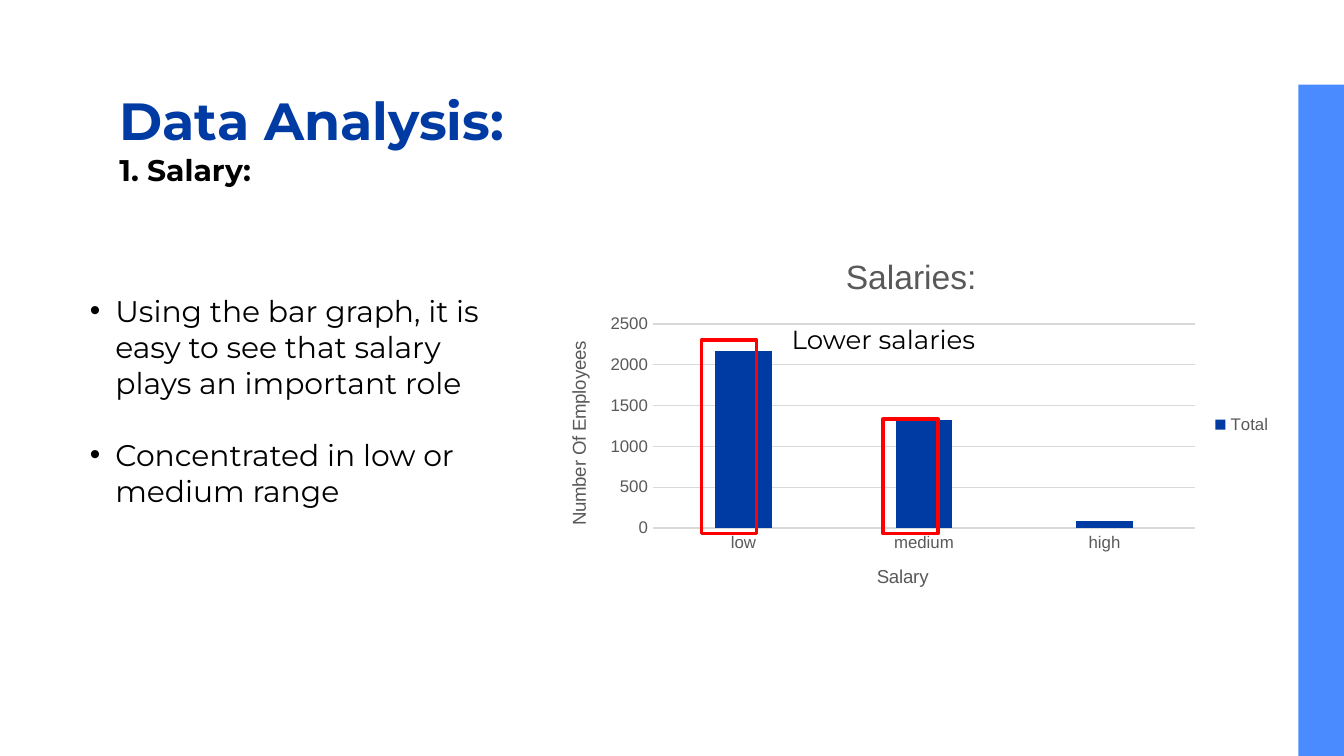
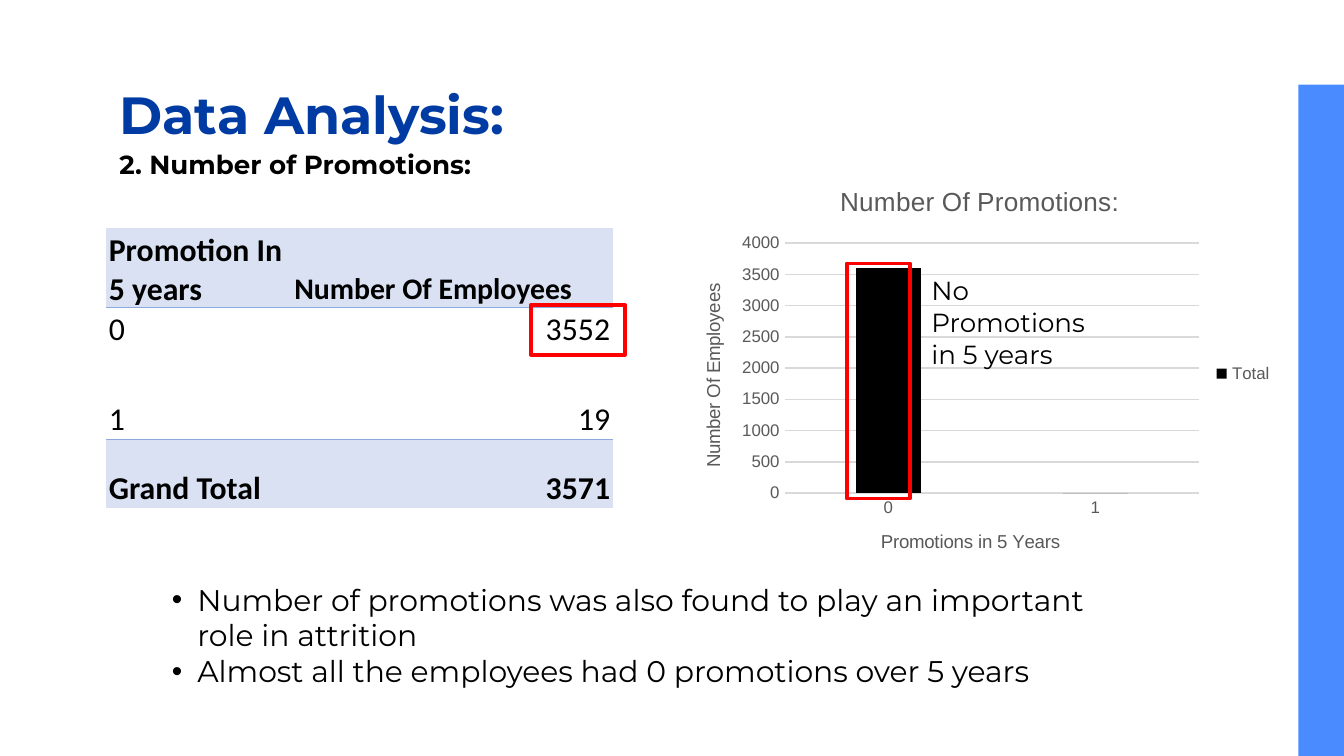
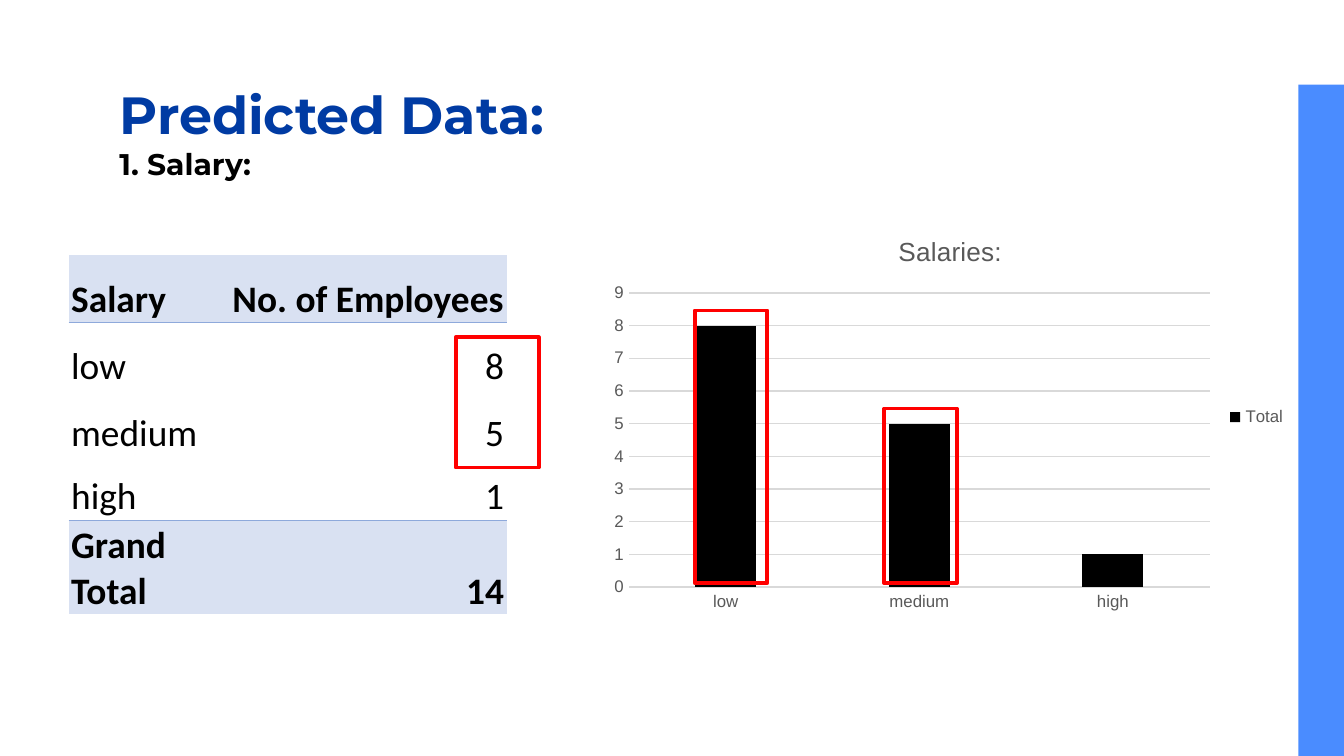
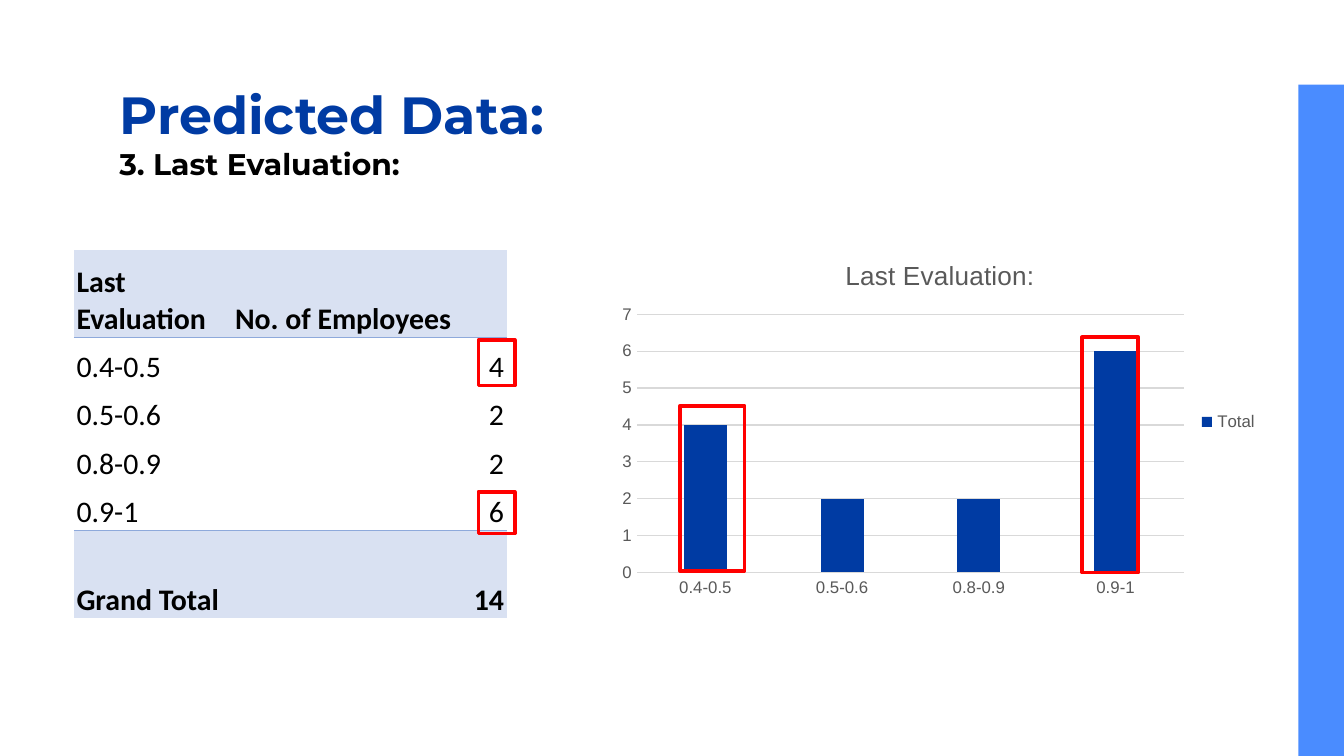
from dataclasses import dataclass

from lxml import etree
from pptx import Presentation
from pptx import util as u
from pptx.chart import data as chart_data
from pptx.dml.color import RGBColor
from pptx.enum import chart as charts, shapes, text
from pptx.oxml import parse_xml
from pptx.oxml.ns import nsdecls, qn


@dataclass(frozen=True)
class Theme:
    blue: RGBColor = RGBColor.from_string("003BA3")
    band: RGBColor = RGBColor.from_string("4A8CFF")
    black: RGBColor = RGBColor.from_string("000000")
    grey: RGBColor = RGBColor.from_string("595959")
    grid: RGBColor = RGBColor.from_string("D9D9D9")
    red: RGBColor = RGBColor.from_string("FF0000")
    table_fill: RGBColor = RGBColor.from_string("D9E1F2")
    table_rule: str = "8EA9DB"
    text_font: str = "Montserrat"
    table_font: str = "Calibri"
    chart_font: str = "Arial"
    title_size: int = 28
    body_size: int = 16
    callout_size: int = 14
    axis_title_size: int = 10
    label_size: int = 9
    plain_table_style: str = "{2D5ABB26-0587-4C30-8999-92F81FD0307C}"


theme = Theme()


def style_font(font, size, color, name, bold=False):
    font.size, font.name, font.bold = u.Pt(size), name, bold
    font.color.rgb = color


def write(frame, lines, size, color=theme.black, name=theme.text_font, bold=False,
          anchor=text.MSO_ANCHOR.MIDDLE):
    """Fill a text frame with one paragraph per line, all in one style."""
    frame.text = "\n".join(lines)
    frame.word_wrap = True
    frame.vertical_anchor = anchor
    frame.margin_left = frame.margin_right = u.Inches(0.1)
    frame.margin_top = frame.margin_bottom = u.Inches(0.1)
    for paragraph in frame.paragraphs:
        for run in paragraph.runs:
            style_font(run.font, size, color, name, bold)


# Boxes are left, top, width, height; plots are left, top, right, bottom (inches).
SLIDES = [
    dict(
        title="Data Analysis:", title_top=0.56,
        subtitle="1. Salary:", subtitle_box=(0.79, 1.11, 1.26, 0.3), subtitle_size=16,
        chart=dict(
            title="Salaries:", title_size=18, box=(4, 1.74, 5.56, 2.84),
            plot=(4.86, 2.41, 8.89, 3.93), color=theme.blue,
            values={"low": 2170, "medium": 1320, "high": 80}, top=2500, step=500,
            axis_titles=("Salary", "Number Of Employees")),
        bullets=dict(
            box=(0.57, 2.02, 3.15, 1.92), gap=19.5,
            lines=["Using the bar graph, it is easy to see that salary plays an important role",
                   "Concentrated in low or medium range"]),
        callout=dict(text="Lower salaries", at=(5.79, 1.81), height=0.44),
        highlights=[(5.22, 2.53, 0.41, 1.44), (6.57, 3.12, 0.41, 0.85)]),
    dict(
        title="Data Analysis:", title_top=0.51,
        subtitle="2. Number of Promotions:", subtitle_box=(0.79, 1.07, 3.77, 0.3),
        subtitle_size=14,
        chart=dict(
            title="Number Of Promotions:", title_size=14, box=(5.01, 1.22, 4.56, 3.12),
            plot=(5.84, 1.81, 8.92, 3.67), color=theme.black,
            values={"0": 3600, "1": 0}, top=4000, step=500,
            axis_titles=("Promotions in 5 Years", "Number Of Employees")),
        table=dict(
            at=(0.79, 1.7), columns=(1.38, 2.39), rows=(0.59, 0.31, 0.67, 0.51), size=17,
            header_size=16,
            cells=[("Promotion In 5 years", "Number Of Employees"), ("0", "3552"),
                   ("1", "19"), ("Grand Total", "3571")]),
        bullets=dict(
            box=(1.18, 4.39, 7.22, 0.67), gap=0,
            lines=["Number of promotions was also found to play an important role in attrition",
                   "Almost all the employees had 0 promotions over 5 years"]),
        callout=dict(text="No Promotions in 5 years", at=(6.83, 1.45), height=0.91),
        highlights=[(3.95, 2.27, 0.7, 0.37), (6.3, 1.96, 0.47, 1.75)]),
    dict(
        title="Predicted Data:", title_top=0.51,
        subtitle="1. Salary:", subtitle_box=(0.79, 1.07, 5.97, 0.3), subtitle_size=16,
        chart=dict(
            title="Salaries:", title_size=14, box=(4.47, 1.6, 5.2, 3.01),
            plot=(4.68, 2.18, 9, 4.37), color=theme.black,
            values={"low": 8, "medium": 5, "high": 1}, top=9, step=1),
        table=dict(
            at=(0.51, 1.9), columns=(1.2, 2.06), rows=(0.5, 0.5, 0.5, 0.47, 0.7), size=20,
            header_size=20,
            cells=[("Salary", "No. of Employees"), ("low", "8"), ("medium", "5"),
                   ("high", "1"), ("Grand Total", "14")]),
        highlights=[(3.39, 2.51, 0.62, 0.97), (5.17, 2.31, 0.54, 2.03),
                    (6.58, 3.04, 0.54, 1.3)]),
    dict(
        title="Predicted Data:", title_top=0.51,
        subtitle="3. Last Evaluation:", subtitle_box=(0.79, 1.07, 5.97, 0.3),
        subtitle_size=16,
        chart=dict(
            title="Last Evaluation:", title_size=14, box=(4.53, 1.78, 4.93, 2.72),
            plot=(4.74, 2.34, 8.81, 4.26), color=theme.blue,
            values={"0.4-0.5": 4, "0.5-0.6": 2, "0.8-0.9": 2, "0.9-1": 6}, top=7, step=1),
        table=dict(
            at=(0.55, 1.86), columns=(1.18, 2.04), rows=(0.65, 0.36, 0.36, 0.36, 0.36, 0.65),
            size=16, header_size=16,
            cells=[("Last Evaluation", "No. of Employees"), ("0.4-0.5", "4"),
                   ("0.5-0.6", "2"), ("0.8-0.9", "2"), ("0.9-1", "6"),
                   ("Grand Total", "14")]),
        highlights=[(3.56, 2.53, 0.27, 0.34), (3.56, 3.66, 0.27, 0.31),
                    (5.06, 3.02, 0.48, 1.23), (8.05, 2.51, 0.42, 1.75)]),
]

presentation = Presentation()
presentation.slide_width, presentation.slide_height = u.Inches(10), u.Pt(405)

for content in SLIDES:
    slide = presentation.slides.add_slide(presentation.slide_layouts[6])

    # The side band is made once and moved to the slide master
    if content is SLIDES[0]:
        band = slide.shapes.add_shape(shapes.MSO_SHAPE.RECTANGLE, u.Inches(7.33),
                                      u.Inches(2.96), u.Inches(5), u.Inches(0.34))
        band.rotation = 90
        band.shadow.inherit = False
        band.fill.solid()
        band.fill.fore_color.rgb = theme.band
        band.line.fill.background()
        presentation.slide_master.shapes.element.append(band.element)

    title = slide.shapes.add_textbox(u.Inches(0.79), u.Inches(content["title_top"]),
                                     u.Inches(8.43), u.Inches(0.71))
    write(title.text_frame, [content["title"]], theme.title_size, theme.blue, bold=True,
          anchor=text.MSO_ANCHOR.TOP)
    subtitle = slide.shapes.add_textbox(*map(u.Inches, content["subtitle_box"]))
    write(subtitle.text_frame, [content["subtitle"]], content["subtitle_size"], bold=True)

    # Column chart
    item = content["chart"]
    data = chart_data.CategoryChartData()
    data.categories = list(item["values"])
    data.add_series("Total", list(item["values"].values()))
    chart = slide.shapes.add_chart(charts.XL_CHART_TYPE.COLUMN_CLUSTERED,
                                   *map(u.Inches, item["box"]), data).chart
    style_font(chart.font, theme.axis_title_size, theme.black, theme.chart_font)
    chart.has_title = True
    chart_title = chart.chart_title.text_frame
    chart_title.text = item["title"]
    style_font(chart_title.paragraphs[0].runs[0].font, item["title_size"], theme.grey,
               theme.chart_font)
    chart.chart_title.include_in_layout = False
    chart.has_legend = True
    chart.legend.position = charts.XL_LEGEND_POSITION.RIGHT
    chart.legend.include_in_layout = False
    style_font(chart.legend.font, theme.label_size, theme.grey, theme.chart_font)

    plot = chart.plots[0]
    plot.gap_width, plot.overlap, plot.vary_by_categories = 219, -27, False
    plot.series[0].format.fill.solid()
    plot.series[0].format.fill.fore_color.rgb = item["color"]

    category_axis, value_axis = chart.category_axis, chart.value_axis
    for axis in (category_axis, value_axis):
        axis.major_tick_mark = axis.minor_tick_mark = charts.XL_TICK_MARK.NONE
        style_font(axis.tick_labels.font, theme.label_size, theme.grey, theme.chart_font)
    value_axis.minimum_scale, value_axis.maximum_scale = 0, item["top"]
    value_axis.major_unit = item["step"]
    value_axis.format.line.fill.background()
    for line in (category_axis.format.line, value_axis.major_gridlines.format.line):
        line.color.rgb, line.width = theme.grid, u.Pt(0.75)
    for axis, axis_title in zip((category_axis, value_axis), item.get("axis_titles", ())):
        axis.axis_title.text_frame.text = axis_title
        style_font(axis.axis_title.text_frame.paragraphs[0].runs[0].font,
                   theme.axis_title_size, theme.grey, theme.chart_font)

    left, top, width, height = item["box"]
    plot_left, plot_top, plot_right, plot_bottom = item["plot"]
    fractions = dict(x=(plot_left - left) / width, y=(plot_top - top) / height,
                     w=(plot_right - plot_left) / width, h=(plot_bottom - plot_top) / height)
    modes = '<c:xMode val="edge"/><c:yMode val="edge"/>'
    sizes = "".join(f'<c:{key} val="{value:.4f}"/>' for key, value in fractions.items())
    plot_area = chart.element.find(".//" + qn("c:plotArea"))
    for layout in plot_area.findall(qn("c:layout")):
        plot_area.remove(layout)
    plot_area.insert(0, parse_xml(
        f'<c:layout {nsdecls("c")}><c:manualLayout><c:layoutTarget val="inner"/>'
        f'{modes}{sizes}</c:manualLayout></c:layout>'))

    # Data table and the one-column callout over the chart
    tables = []
    if "table" in content:
        tables.append(content["table"])
    if "callout" in content:
        callout = content["callout"]
        tables.append(dict(at=callout["at"], columns=(1.57,), rows=(0.5, callout["height"]),
                           cells=[("",), (callout["text"],)]))
    for item in tables:
        is_data = "size" in item
        frame = slide.shapes.add_table(
            len(item["rows"]), len(item["columns"]), *map(u.Inches, item["at"]),
            u.Inches(sum(item["columns"])), u.Inches(sum(item["rows"])))
        table = frame.table
        table.first_row = table.horz_banding = False
        frame.element.find(".//" + qn("a:tableStyleId")).text = theme.plain_table_style
        for column, width in zip(table.columns, item["columns"]):
            column.width = u.Inches(width)
        last_row = len(item["rows"]) - 1
        for row_index, (height, values) in enumerate(zip(item["rows"], item["cells"])):
            table.rows[row_index].height = u.Inches(height)
            for column_index, value in enumerate(values):
                cell = table.cell(row_index, column_index)
                cell.fill.background()
                if not is_data:
                    write(cell.text_frame, [value], theme.callout_size)
                    cell.vertical_anchor = text.MSO_ANCHOR.MIDDLE
                    cell.margin_left = cell.margin_right = u.Inches(0.1)
                    cell.margin_top = cell.margin_bottom = u.Inches(0.1)
                    continue
                is_edge = row_index in (0, last_row)
                is_small = row_index == 0 and column_index == 1
                write(cell.text_frame, [value], item["header_size" if is_small else "size"],
                      name=theme.table_font, bold=is_edge)
                cell.vertical_anchor = text.MSO_ANCHOR.BOTTOM
                cell.margin_left = cell.margin_right = cell.margin_top = u.Inches(0.02)
                cell.margin_bottom = 0
                if row_index and column_index:
                    cell.text_frame.paragraphs[0].alignment = text.PP_ALIGN.RIGHT
                if is_edge:
                    cell.fill.solid()
                    cell.fill.fore_color.rgb = theme.table_fill
                    side = "lnT" if row_index else "lnB"
                    cell._tc.get_or_add_tcPr().insert(0, parse_xml(
                        f'<a:{side} {nsdecls("a")} w="{u.Pt(0.5)}"><a:solidFill>'
                        f'<a:srgbClr val="{theme.table_rule}"/></a:solidFill></a:{side}>'))

    # Bulleted findings
    if "bullets" in content:
        item = content["bullets"]
        findings = slide.shapes.add_textbox(*map(u.Inches, item["box"]))
        write(findings.text_frame, item["lines"], theme.body_size)
        for index, paragraph in enumerate(findings.text_frame.paragraphs):
            if index:
                paragraph.space_before = u.Pt(item["gap"])
            properties = paragraph._p.get_or_add_pPr()
            properties.set("marL", str(u.Inches(0.19)))
            properties.set("indent", str(-u.Inches(0.19)))
            etree.SubElement(properties, qn("a:buFont"), typeface=theme.chart_font)
            etree.SubElement(properties, qn("a:buChar"), char="•")

    for box in content["highlights"]:
        highlight = slide.shapes.add_shape(shapes.MSO_SHAPE.RECTANGLE, *map(u.Inches, box))
        highlight.shadow.inherit = False
        highlight.fill.background()
        highlight.line.color.rgb, highlight.line.width = theme.red, u.Pt(2)

presentation.save("out.pptx")
